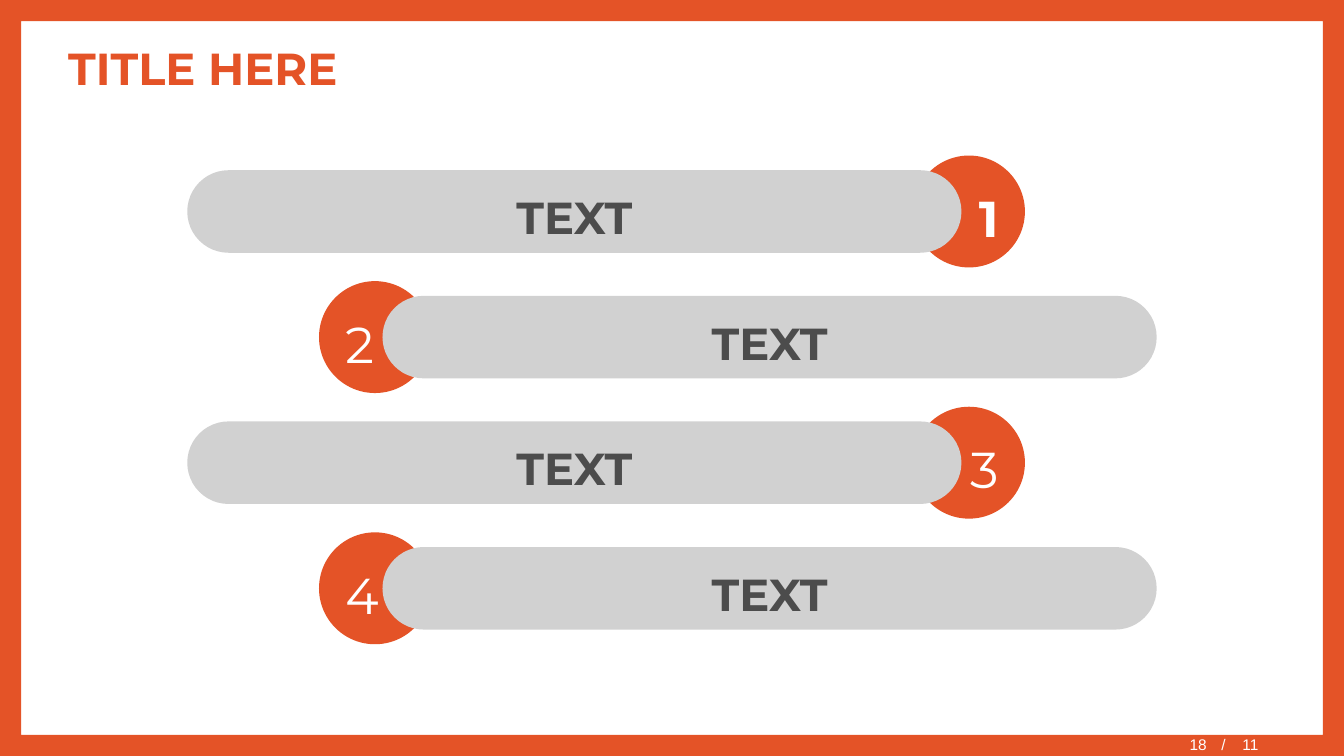
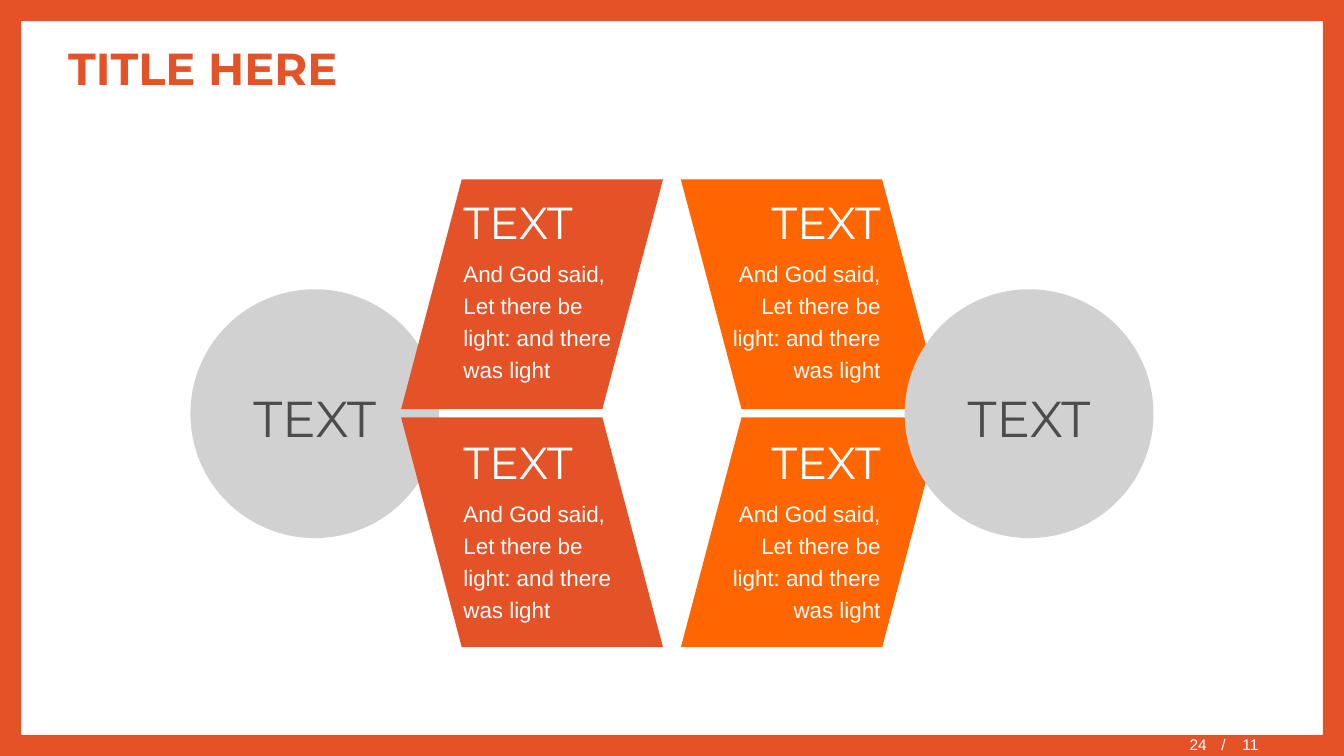
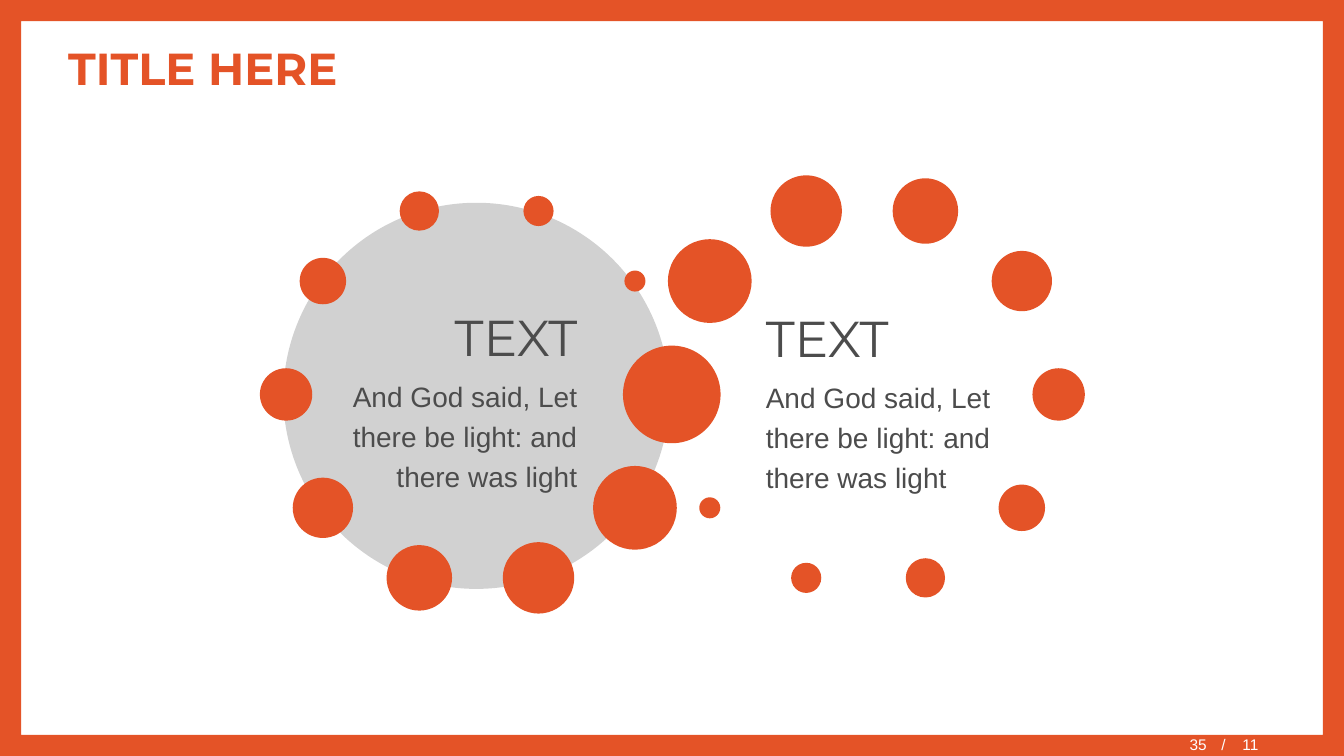
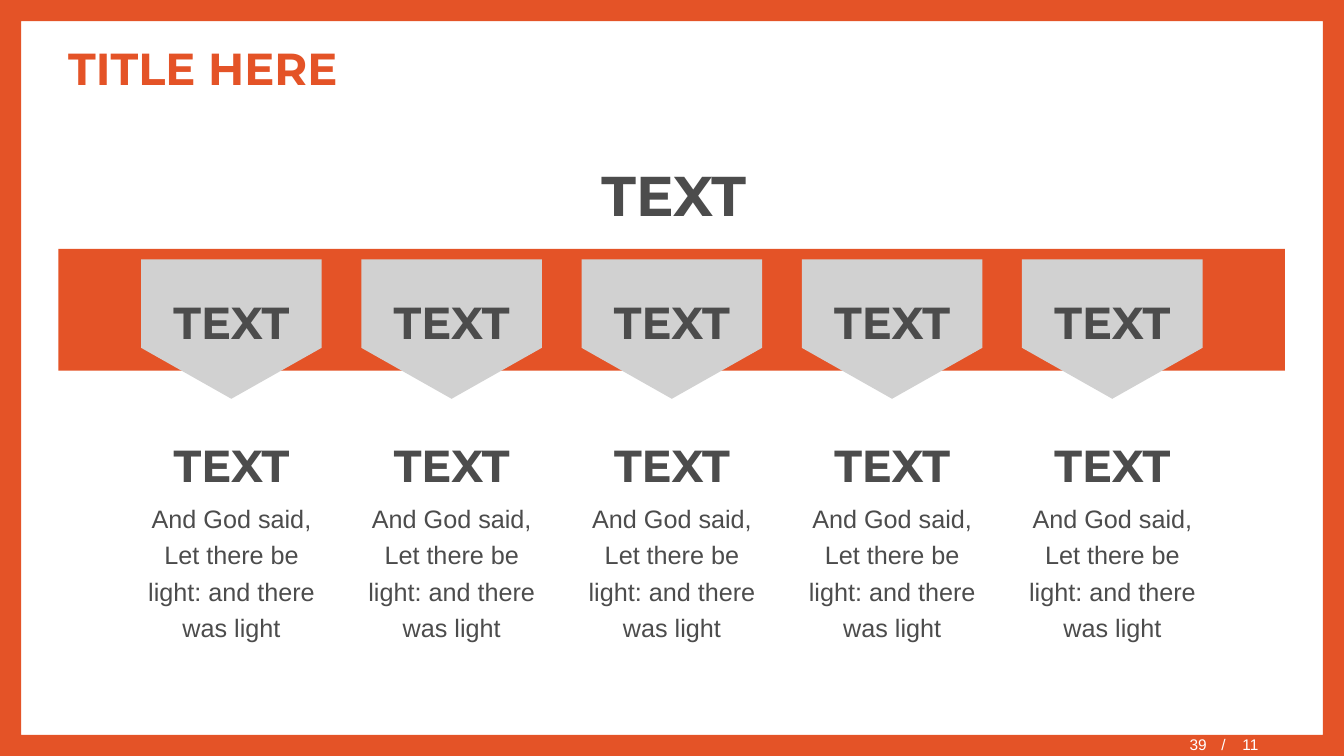
import math

from lxml import etree
from pptx import Presentation
from pptx.dml.color import RGBColor
from pptx.enum.shapes import MSO_SHAPE
from pptx.enum.text import MSO_ANCHOR, PP_ALIGN
from pptx.oxml.ns import qn
from pptx.util import Cm, Pt

LEFT, MID, RIGHT = PP_ALIGN.LEFT, PP_ALIGN.CENTER, PP_ALIGN.RIGHT
TOP, CENTRE = MSO_ANCHOR.TOP, MSO_ANCHOR.MIDDLE
FRAME, RECT, PILL = MSO_SHAPE.FRAME, MSO_SHAPE.RECTANGLE, MSO_SHAPE.ROUNDED_RECTANGLE
OVAL, SLANT, PLATE = MSO_SHAPE.OVAL, MSO_SHAPE.PARALLELOGRAM, MSO_SHAPE.PENTAGON

HUES = {"red": "E45327", "orange": "FF6600", "grey": "D1D1D1",
        "dark": "4C4C4C", "white": "FFFFFF"}
HEAD, BODY = "Montserrat", "Arial"
VERSE = "And God said, Let there be light: and there was light"
WIDE, HIGH = 33.87, 19.05


def draw(page, kind, x, y, w, h, hue=None, adj=None):
    """Add a preset shape, or a text box when kind is None; lengths in cm."""
    box = Cm(x), Cm(y), Cm(w), Cm(h)
    if kind is None:
        item = page.shapes.add_textbox(*box)
    else:
        item = page.shapes.add_shape(kind, *box)
        item.shadow.inherit = False
        item.fill.solid()
        item.fill.fore_color.rgb = RGBColor.from_string(HUES[hue])
        item.line.fill.background()
    if adj is not None:
        item.adjustments[0] = adj
    item.text_frame.word_wrap = True
    item.text_frame.vertical_anchor = TOP if kind is None else CENTRE
    return item


def write(item, text, size, hue, align=LEFT, bold=False, face=HEAD, loose=True):
    """Add one paragraph; loose gives it the wide line and paragraph spacing."""
    frame = item.text_frame
    para = frame.paragraphs[0]
    first = not para.runs
    if not first:
        para = frame.add_paragraph()
    para.alignment = align
    if loose:
        para.line_spacing = 1.2
        para.space_before = Pt(0 if first else 2)
        para.space_after = Pt(2)
    run = para.add_run()
    run.text = text
    run.font.name, run.font.size, run.font.bold = face, Pt(size), bold
    run.font.color.rgb = RGBColor.from_string(HUES[hue])


deck = Presentation()
deck.slide_width, deck.slide_height = Cm(WIDE), Cm(HIGH)

# Frame, title and footer of every slide
pages = []
for num in ("18", "24", "35", "39"):
    page = deck.slides.add_slide(deck.slide_layouts[6])
    draw(page, FRAME, 0, 0, WIDE, HIGH, "red", 0.028)
    title = draw(page, None, 1.47, 0.71, 30.94, 2.01)
    write(title, "TITLE HERE", 32, "red", bold=True, loose=False)
    total = draw(page, None, 30.53, 18.54, 3.33, 0.46)
    write(total, "/\t11", 11, "white", face=BODY, loose=False)
    props = total.text_frame.paragraphs[0]._p.get_or_add_pPr()
    tabs = etree.SubElement(props, qn("a:tabLst"))
    etree.SubElement(tabs, qn("a:tab"), pos=str(Cm(0.53)), algn="l")
    count = draw(page, None, 24.08, 18.59, 6.58, 0.46)
    count.text_frame.margin_top = 0
    write(count, num, 11, "white", RIGHT, face=BODY, loose=False)
    for item in (title, total, count):
        item.text_frame.vertical_anchor = CENTRE
    pages.append(page)
bars, wings, rings, steps = pages

# Four numbered bars, every second one mirrored
for i in range(4):
    y = 4.29 + i * 3.165
    x, dot = 4.72, 23.01
    if i % 2:
        x, dot = WIDE - x - 19.51, WIDE - dot - 2.82
    disc = draw(bars, OVAL, dot, y - 0.37, 2.82, 2.82, "red")
    write(disc, str(i + 1), 36, "white", LEFT if i % 2 else RIGHT, bold=i == 0)
    bar = draw(bars, PILL, x, y, 19.51, 2.08, "grey", 0.5)
    write(bar, "TEXT", 32, "dark", MID, True)

# Two discs with four slanted panels; the right disc lies on top
for side, part in ((0, "disc"), (0, "panel"), (1, "panel"), (1, "disc")):
    if part == "disc":
        x = WIDE - 4.8 - 6.27 if side else 4.8
        draw(wings, OVAL, x, 7.29, 6.27, 6.27, "grey")
        label = draw(wings, None, x + 0.83, 9.32, 4.6, 2.11)
        write(label, "TEXT", 36, "dark", MID)
        continue
    x, left = (17.16, 17.94) if side else (10.11, 11.43)
    align = RIGHT if side else LEFT
    for row in range(2):
        panel = draw(wings, SLANT, x, 4.52 + row * 6, 6.6, 5.79,
                     "orange" if side else "red", 0.264)
        if row != side:
            panel._element.spPr.xfrm.set("flipH", "1")
    for row in range(2):
        note = draw(wings, None, left, 4.52 + row * 6.05, 4.5, 5.33)
        write(note, "TEXT", 32, "white", align)
        write(note, VERSE, 16, "white", align, face=BODY)

# Two rings of dots that share the largest dot
SIZES = (1.32, 1.17, 0.99, 0.76, 0.53, 2.46, 2.11, 1.8, 1.65, 1.52)
draw(rings, OVAL, 7.14, 5.11, 9.73, 9.73, "grey")
for mid, turn in ((12.07, 180), (21.82, 0)):
    for i, size in enumerate(SIZES):
        if turn == 0 and size == max(SIZES):
            continue
        angle = math.radians(turn + 36 * i)
        x = mid + 4.86 * math.cos(angle)
        y = 9.94 + 4.86 * math.sin(angle)
        draw(rings, OVAL, x - size / 2, y - size / 2, size, size, "red")
for x, y, align in ((8.48, 7.29, RIGHT), (19.05, 7.32, LEFT)):
    note = draw(rings, None, x, y, 6.32, 5.33)
    write(note, "TEXT", 36, "dark", align)
    write(note, VERSE, 20, "dark", align, face=BODY)

# Five plates hanging from a band, each with a note below
draw(steps, RECT, 1.47, 6.27, 30.91, 3.07, "red")
head = draw(steps, None, 14.63, 3.63, 4.7, 2.16)
head.text_frame.word_wrap = False
head.text_frame.vertical_anchor = CENTRE
write(head, "TEXT", 40, "dark", MID, True)
for i in range(5):
    mid = WIDE / 2 + (i - 2) * 5.55
    plate = draw(steps, PLATE, mid - 1.76, 6.02, 3.51, 4.55, "grey", 0.366)
    plate.rotation = 90
    plate.text_frame._txBody.bodyPr.set("vert", "vert270")
    write(plate, "TEXT", 32, "dark", MID, True)
    note = draw(steps, None, mid - 2.44, 10.64, 4.88, 5.74)
    write(note, "TEXT", 32, "dark", MID, True)
    write(note, VERSE, 18, "dark", MID, face=BODY)

deck.save("out.pptx")
